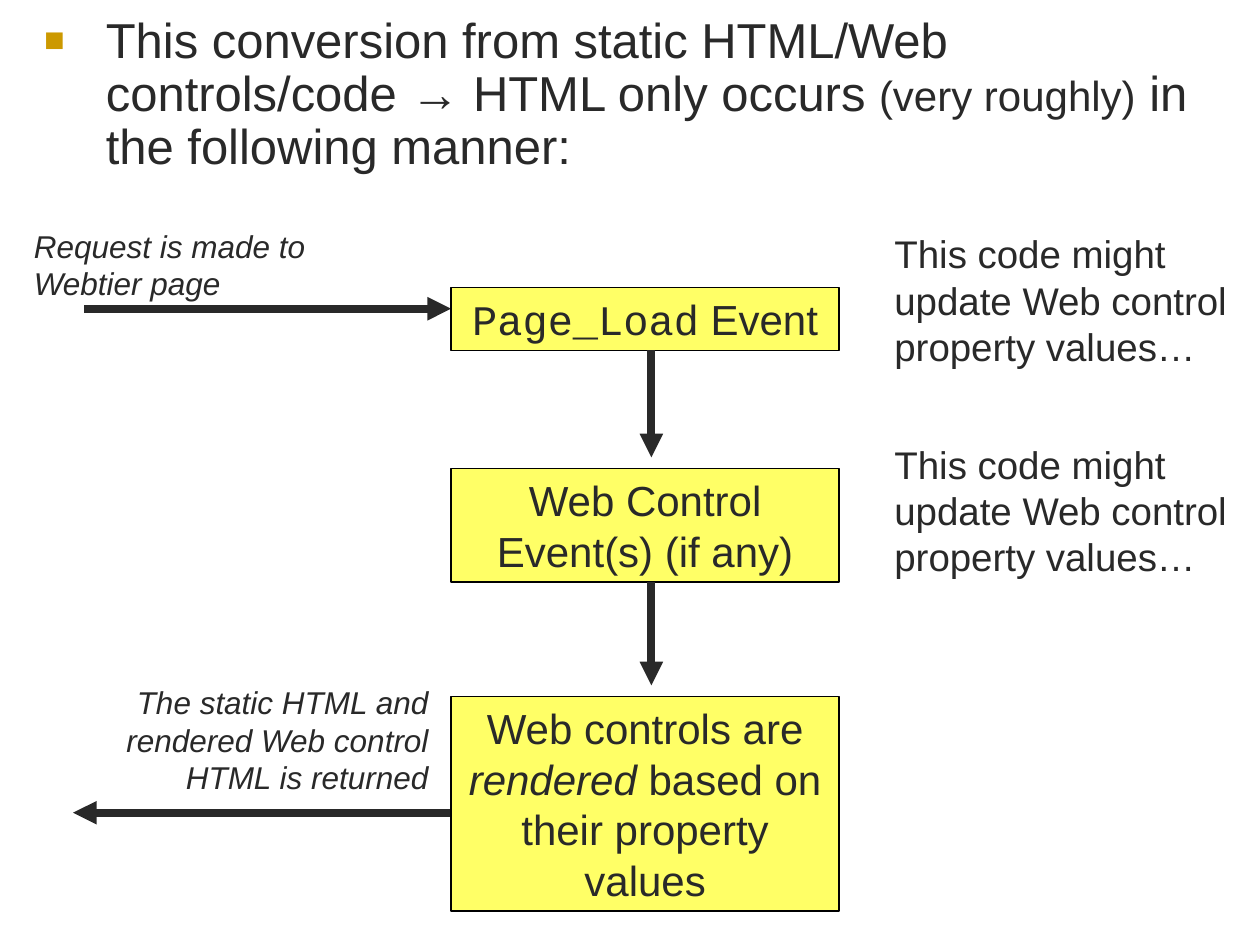
import pptx
import pptx.util
import pptx.dml.color
import pptx.enum.shapes
import pptx.enum.text
import pptx.oxml.ns
from lxml import etree
from pptx.util import Inches

THEME = {
    "text": "292929", "box": "FFFF66", "outline": "000000", "bullet": "CC9900",
    "font": "Arial", "code_font": "Courier New",
    "lead": 28, "step": 24, "remark": 22, "label": 18,
    "arrow_width": 4.5, "outline_width": 0.75,
}
ALIGN = pptx.enum.text.PP_ALIGN

# Content: text is a list of (words, run style) pairs
LEAD = [
    ("This conversion from static HTML/Web controls/code → HTML only occurs ", None),
    ("(very roughly)", "small"),
    (" in the following manner:", None),
]
REMARK = "This code might update Web control property values…"
STEPS = [  # top, height, text
    (2.28, 0.5, [("Page_Load", "code"), (" Event", None)]),
    (3.72, 0.9, [("Web Control Event(s) (if any)", None)]),
    (5.53, 1.7, [("Web controls are ", None), ("rendered", "italic"),
                 (" based on their property values", None)]),
]
REMARK_TOPS = [1.78, 3.45]
LABELS = [  # left, top, height, alignment, words
    (0.17, 1.75, 0.7, ALIGN.LEFT, "Request is made to Webtier page"),
    (0.25, 5.37, 1.0, ALIGN.RIGHT,
     "The static HTML and rendered Web control HTML is returned"),
]

# Layout
STEP_LEFT, STEP_WIDTH = 3.58, 3.08
REMARK_LEFT, REMARK_WIDTH, REMARK_HEIGHT = 7, 2.92, 1.2
LABEL_WIDTH = 3.25
FLOW_X, ARROW_GAP = 5.17, 0.09
REQUEST_START, REQUEST_Y = 0.67, 2.45
RESPONSE_END, RESPONSE_Y = 0.58, 6.45


def color(name):
    return pptx.dml.color.RGBColor.from_string(THEME[name])


def write(shape, runs, size, align=ALIGN.LEFT, space_before=0, italic=None):
    frame = shape.text_frame
    frame.word_wrap = True
    frame.auto_size = pptx.enum.text.MSO_AUTO_SIZE.NONE
    frame.vertical_anchor = pptx.enum.text.MSO_ANCHOR.TOP
    paragraph = frame.paragraphs[0]
    paragraph.alignment = align
    paragraph.space_before = pptx.util.Pt(space_before)
    font = paragraph.font
    font.name, font.size = THEME["font"], pptx.util.Pt(THEME[size])
    font.italic = italic
    font.color.rgb = color("text")
    for words, style in runs:
        run = paragraph.add_run()
        run.text = words
        if style == "code":
            run.font.name = THEME["code_font"]
        elif style == "italic":
            run.font.italic = True
        elif style == "small":
            run.font.size = pptx.util.Pt(THEME["step"])
    return paragraph


def add_bullet(paragraph, indent):
    properties = paragraph._p.get_or_add_pPr()
    properties.set("marL", str(Inches(indent)))
    properties.set("indent", str(-Inches(indent)))
    qn = pptx.oxml.ns.qn
    bullet_color = etree.SubElement(properties, qn("a:buClr"))
    etree.SubElement(bullet_color, qn("a:srgbClr"), val=THEME["bullet"])
    etree.SubElement(properties, qn("a:buSzPct"), val="70000")
    etree.SubElement(properties, qn("a:buFont"), typeface=THEME["font"])
    etree.SubElement(properties, qn("a:buChar"), char="■")


def add_text(slide, left, top, width, height, words, size, **style):
    box = slide.shapes.add_textbox(
        Inches(left), Inches(top), Inches(width), Inches(height))
    write(box, [(words, None)], size, **style)


def add_step(slide, top, height, runs):
    box = slide.shapes.add_shape(
        pptx.enum.shapes.MSO_SHAPE.RECTANGLE,
        Inches(STEP_LEFT), Inches(top), Inches(STEP_WIDTH), Inches(height))
    box.shadow.inherit = False
    box.fill.solid()
    box.fill.fore_color.rgb = color("box")
    box.line.color.rgb = color("outline")
    box.line.width = pptx.util.Pt(THEME["outline_width"])
    write(box, runs, "step", align=ALIGN.CENTER, space_before=15)


def add_arrow(slide, start_x, start_y, end_x, end_y):
    arrow = slide.shapes.add_connector(
        pptx.enum.shapes.MSO_CONNECTOR.STRAIGHT,
        Inches(start_x), Inches(start_y), Inches(end_x), Inches(end_y))
    arrow.line.color.rgb = color("text")
    arrow.line.width = pptx.util.Pt(THEME["arrow_width"])
    qn = pptx.oxml.ns.qn
    etree.SubElement(arrow.line._get_or_add_ln(), qn("a:tailEnd"), type="triangle")
    etree.SubElement(arrow._element.spPr, qn("a:effectLst"))


def main():
    presentation = pptx.Presentation()
    presentation.slide_width, presentation.slide_height = Inches(10), Inches(7.5)
    slide = presentation.slides.add_slide(presentation.slide_layouts[1])

    # Lead bullet in the body placeholder; the slide has no title
    title = slide.shapes.title._element
    title.getparent().remove(title)
    body = slide.placeholders[1]
    body.left, body.top = Inches(0.25), Inches(0.08)
    body.width, body.height = Inches(9.42), Inches(1.42)
    lead = write(body, LEAD, "lead", space_before=7)
    lead.line_spacing = 0.9
    add_bullet(lead, 0.49)

    # Request and response
    add_arrow(slide, REQUEST_START, REQUEST_Y, STEP_LEFT, REQUEST_Y)
    add_arrow(slide, STEP_LEFT, RESPONSE_Y, RESPONSE_END, RESPONSE_Y)
    for left, top, height, align, words in LABELS:
        add_text(slide, left, top, LABEL_WIDTH, height, words, "label",
                 align=align, space_before=11.2, italic=True)

    # Steps, each joined to the next one
    for step in STEPS:
        add_step(slide, *step)
    for (top, height, _), (next_top, _, _) in zip(STEPS, STEPS[1:]):
        add_arrow(slide, FLOW_X, top + height, FLOW_X, next_top - ARROW_GAP)

    # Remarks beside the first two steps
    for top in REMARK_TOPS:
        add_text(slide, REMARK_LEFT, top, REMARK_WIDTH, REMARK_HEIGHT,
                 REMARK, "remark", space_before=13.8)

    presentation.save("out.pptx")


if __name__ == "__main__":
    main()
